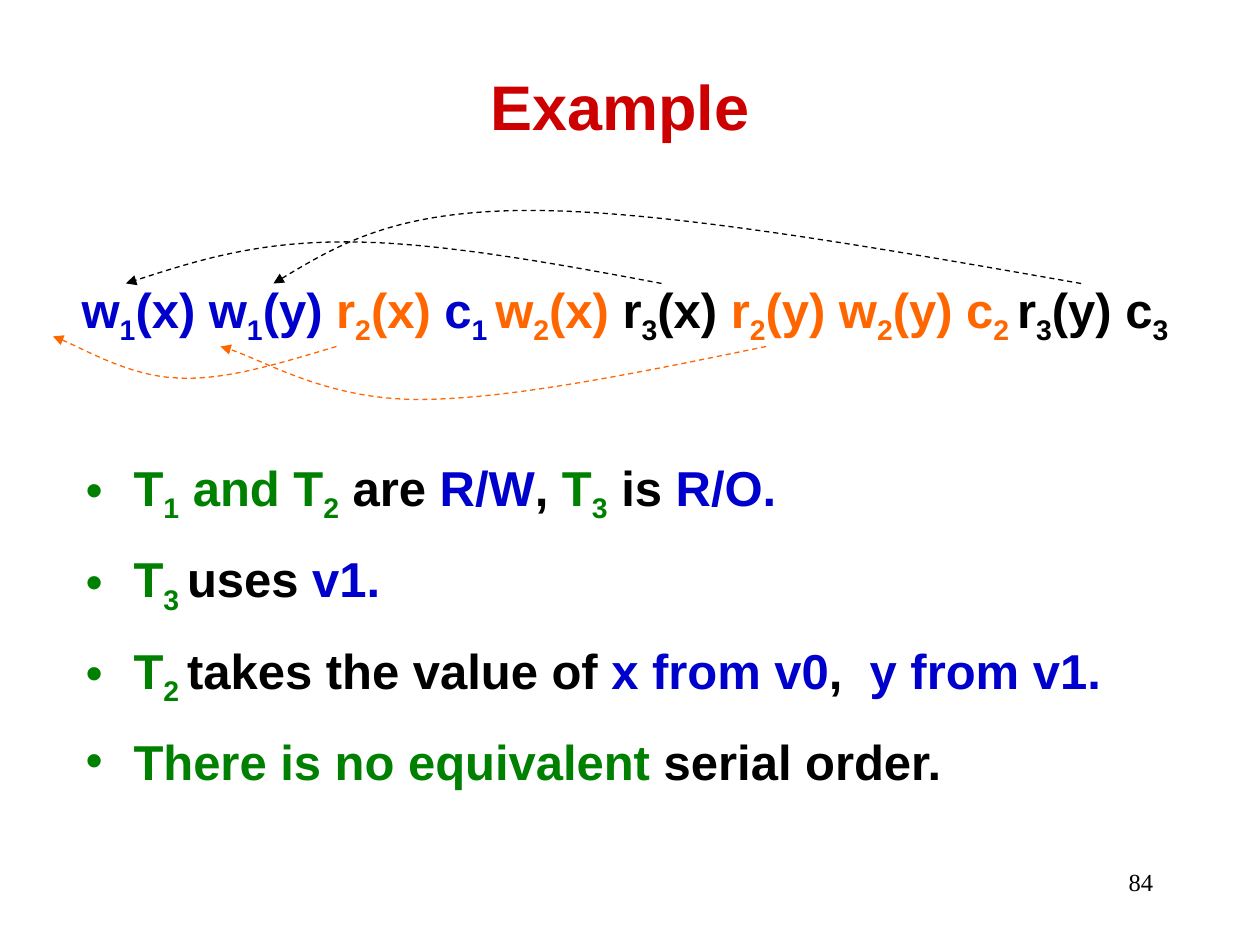
from typing import NamedTuple

from lxml.etree import SubElement
from pptx import Presentation
from pptx.dml.color import RGBColor
from pptx.enum.dml import MSO_LINE
from pptx.enum.text import MSO_ANCHOR, MSO_AUTO_SIZE, PP_ALIGN
from pptx.oxml.ns import qn
from pptx.util import Inches, Pt

RED = RGBColor(0xCC, 0x00, 0x00)
BLUE = RGBColor(0x00, 0x00, 0xCC)
GREEN = RGBColor(0x00, 0x80, 0x00)
ORANGE = RGBColor(0xFF, 0x66, 0x00)
BLACK = RGBColor(0x00, 0x00, 0x00)


class Span(NamedTuple):
    """Text in one colour; braces mark subscripts."""
    text: str
    color: RGBColor


class Arrow(NamedTuple):
    """Two joined Bezier curves: a start, then three points for each curve."""
    color: RGBColor
    points: list[tuple[float, float]]


SCHEDULE = [
    Span("w{1}(x) w{1}(y) ", BLUE), Span("r{2}(x)", ORANGE),
    Span(" c{1 }", BLUE), Span("w{2}(x) ", ORANGE),
    Span("r{3}(x) ", BLACK), Span("r{2}(y) w{2}(y) c{2 }", ORANGE),
    Span("r{3}(y) c{3}", BLACK),
]

BULLETS = [
    [Span("T{1} and T{2}", GREEN), Span(" are ", BLACK), Span("R/W", BLUE),
     Span(", ", BLACK), Span("T{3}", GREEN), Span(" is ", BLACK), Span("R/O.", BLUE)],
    [Span("T{3 }", GREEN), Span("uses ", BLACK), Span("v1.", BLUE)],
    [Span("T{2 }", GREEN), Span("takes the value of ", BLACK),
     Span("x from v0", BLUE), Span(",  ", BLACK), Span("y from v1.", BLUE)],
    [Span("There is no equivalent", GREEN), Span(" serial order.", BLACK)],
]

ARROWS = [
    Arrow(ORANGE, [(6.08, 2.75), (5.06, 2.96), (4.04, 3.17), (3.32, 3.17),
                   (2.6, 3.17), (2.03, 2.82), (1.75, 2.75)]),
    Arrow(BLACK, [(5.25, 2.25), (4.35, 2.08), (3.45, 1.92), (2.74, 1.92),
                  (2.03, 1.92), (1.52, 2.08), (1, 2.25)]),
    Arrow(BLACK, [(8.58, 2.25), (6.93, 1.96), (5.28, 1.67), (4.21, 1.67),
                  (3.14, 1.67), (2.65, 1.96), (2.17, 2.25)]),
    Arrow(ORANGE, [(2.67, 2.75), (2.23, 2.88), (1.79, 3.02), (1.42, 3),
                   (1.04, 2.99), (0.58, 2.72), (0.42, 2.67)]),
]


def place(sp, left: float, top: float, width: float, height: float) -> None:
    sp.left, sp.top = Inches(left), Inches(top)
    sp.width, sp.height = Inches(width), Inches(height)


def add_run(p, text: str, color: RGBColor, size: int = 28, name: str = "Arial",
            bold: bool = True, subscript: bool = False) -> None:
    if not text:
        return
    r = p.add_run()
    r.text = text
    r.font.size, r.font.name, r.font.bold = Pt(size), name, bold
    r.font.color.rgb = color
    if subscript:
        r.font._element.set("baseline", "-25000")


def add_spans(p, spans: list[Span]) -> None:
    for span in spans:
        plain, *rest = span.text.split("{")
        add_run(p, plain, span.color)
        for part in rest:
            sub, _, plain = part.partition("}")
            add_run(p, sub, span.color, subscript=True)
            add_run(p, plain, span.color)


def set_bullet(p) -> None:
    pPr = p._p.get_or_add_pPr()
    pPr.set("marL", str(Inches(0.38)))
    pPr.set("indent", str(-Inches(0.38)))
    color = SubElement(pPr, qn("a:buClr"))
    SubElement(color, qn("a:srgbClr"), val=str(GREEN))
    SubElement(pPr, qn("a:buChar"), char="•")


def add_arrow(s, arrow: Arrow) -> None:
    start, *points = [(Inches(x), Inches(y)) for x, y in arrow.points]
    builder = s.shapes.build_freeform(*start)
    builder.add_line_segments(points, close=False)
    sp = builder.convert_to_shape()
    sp.shadow.inherit = False
    sp.fill.background()
    sp.line.color.rgb = arrow.color
    sp.line.width = Pt(0.75)
    sp.line.dash_style = MSO_LINE.DASH
    SubElement(sp.line._get_or_add_ln(), qn("a:tailEnd"), type="triangle")

    # Each three straight segments become one cubic curve.
    path = next(sp._element.iter(qn("a:path")))
    segments = path.findall(qn("a:lnTo"))
    for i in range(0, len(segments), 3):
        curve = SubElement(path, qn("a:cubicBezTo"))
        for segment in segments[i:i + 3]:
            curve.append(segment[0])
            path.remove(segment)


def main() -> None:
    prs = Presentation()
    prs.slide_width, prs.slide_height = Inches(10), Inches(7.5)
    s = prs.slides.add_slide(prs.slide_layouts[1])

    number = s.shapes.add_textbox(Inches(7.17), Inches(6.83), Inches(2.08), Inches(0.5))
    number.text_frame.word_wrap = True
    p = number.text_frame.paragraphs[0]
    p.alignment = PP_ALIGN.RIGHT
    add_run(p, "84", BLACK, size=14, name="Times New Roman", bold=False)

    title = s.shapes.title
    place(title, 0.67, 0.5, 8.5, 0.67)
    tf = title.text_frame
    tf.auto_size = MSO_AUTO_SIZE.NONE
    tf.vertical_anchor = MSO_ANCHOR.MIDDLE
    p = tf.paragraphs[0]
    p.alignment = PP_ALIGN.CENTER
    add_run(p, "Example", RED, size=36)

    body = s.placeholders[1]
    place(body, 0.58, 3.58, 9, 2.75)
    tf = body.text_frame
    tf.auto_size = MSO_AUTO_SIZE.NONE
    for i, spans in enumerate(BULLETS):
        p = tf.add_paragraph() if i else tf.paragraphs[0]
        set_bullet(p)
        p.space_before = Pt(14 if i else 0)
        add_spans(p, spans)

    schedule = s.shapes.add_textbox(Inches(0.55), Inches(2.17), Inches(8.91), Inches(0.63))
    tf = schedule.text_frame
    tf.word_wrap = False
    tf.auto_size = MSO_AUTO_SIZE.SHAPE_TO_FIT_TEXT
    add_spans(tf.paragraphs[0], SCHEDULE)

    for arrow in ARROWS:
        add_arrow(s, arrow)

    prs.save("out.pptx")


if __name__ == "__main__":
    main()
